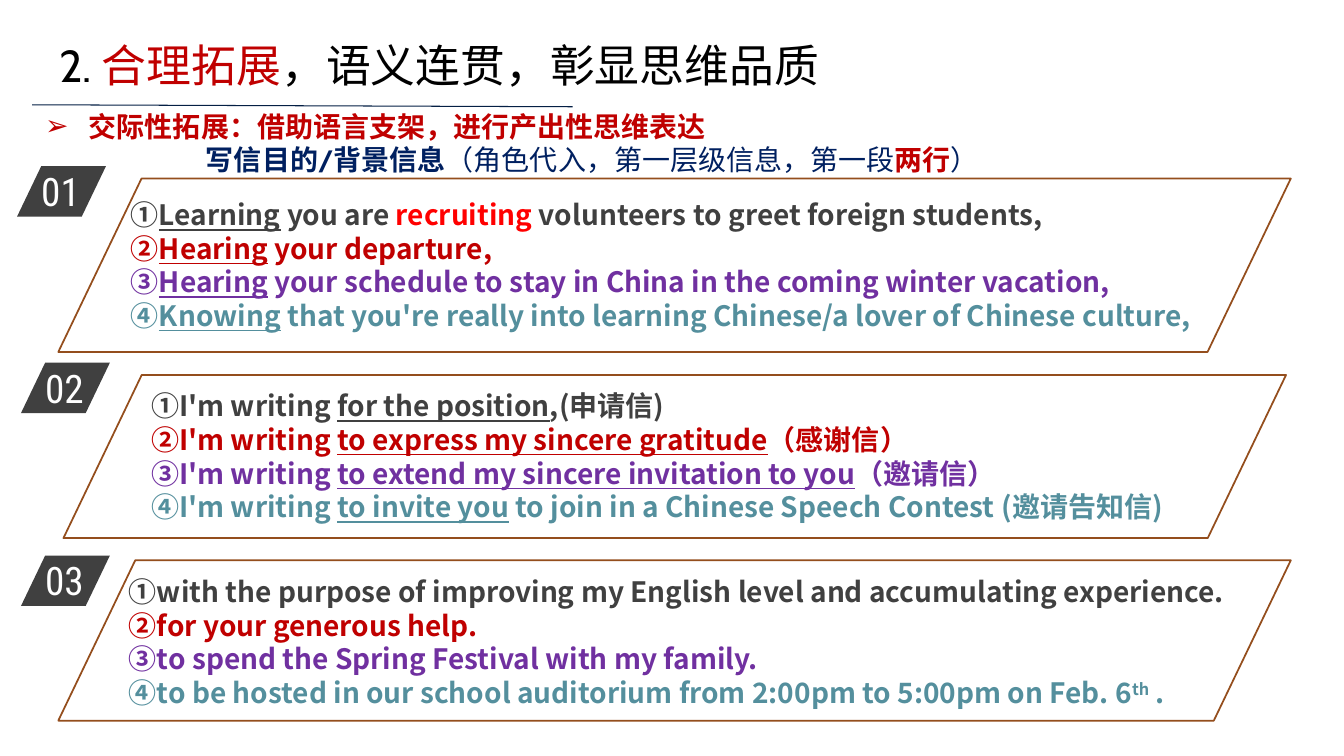
from pptx import Presentation
from pptx.dml.color import RGBColor
from pptx.enum.shapes import MSO_CONNECTOR as Wire, MSO_SHAPE as Shape
from pptx.enum.text import MSO_ANCHOR as Anchor, MSO_AUTO_SIZE as Fit, PP_ALIGN as Align
from pptx.oxml.ns import qn
from pptx.util import Cm, Pt
from lxml.etree import SubElement as Sub

WHITE = RGBColor(0xFF, 0xFF, 0xFF)
BLACK = RGBColor(0, 0, 0)
GREY = RGBColor(0x40, 0x40, 0x40)
RED = RGBColor(0xC0, 0, 0)
BRIGHT = RGBColor(0xFF, 0, 0)
PURPLE = RGBColor(0x70, 0x30, 0xA0)
TEAL = RGBColor(0x54, 0x8F, 0x9D)
BROWN = RGBColor(0x94, 0x4E, 0x1D)
NAVY = RGBColor(0, 0x20, 0x60)
RULE = RGBColor(0x04, 0x1F, 0x44)
INKS = (GREY, RED, PURPLE, TEAL)

CJK, HEAD, DIGIT = "Noto Sans CJK SC", "Cabin", "Roboto Condensed"
SLANT = 0.48

# Each panel: tag position, frame box, text box, lines of (text, style) runs
PANELS = (
    ("01", (0.43, 4.19), (1.47, 4.5, 31.06, 4.37), (3.12, 4.88, 28.73), (
        (("①", ""), ("Learning", "line"), (" you are", ""), (" recruiting", "bright"),
         (" volunteers to greet foreign students,", "")),
        (("②", ""), ("Hearing", "line"), (" your departure,", "")),
        (("③", ""), ("Hearing", "line"),
         (" your schedule to stay in China in the coming winter vacation,", "")),
        (("④", ""), ("Knowing", "line"),
         (" that you're really into learning Chinese/a lover of Chinese culture,", "")),
    )),
    ("02", (0.53, 9.14), (1.6, 9.45, 30.81, 4.11), (3.63, 9.7, 27.43), (
        (("①I'm writing ", ""), ("for the position", "line"), (",(申请信)", "")),
        (("②I'm writing ", ""), ("to express my sincere gratitude", "line"), ("（感谢信）", "")),
        (("③I'm writing ", ""), ("to extend my sincere invitation to you", "line"),
         ("（邀请信）", "")),
        (("④I'm writing ", ""), ("to invite you", "line"),
         (" to join in a Chinese Speech Contest (邀请告知信)", "")),
    )),
    ("03", (0.53, 14), (1.47, 14.12, 31.06, 4.04), (3.07, 14.38, 29.49), (
        (("①with the purpose of improving my English level and accumulating experience.", ""),),
        (("②for your generous help.", ""),),
        (("③to spend the Spring Festival with my family.", ""),),
        (("④to be hosted in our school auditorium from 2:00pm to 5:00pm on Feb. 6", ""),
         ("th", "super"), (" .", "")),
    )),
)


def add_run(para, text, size, face, ink, bold=False, style=""):
    run = para.add_run()
    run.text = text
    font = run.font
    font.size, font.name, font.bold = Pt(size), face, bold
    font.color.rgb = BRIGHT if style == "bright" else ink
    if style == "line":
        font.underline = True
    props = run._r.get_or_add_rPr()
    if style == "super":
        props.set("baseline", "30000")
    Sub(props, qn("a:ea")).set("typeface", CJK)


def place(shape, left, top, width, height):
    shape.left, shape.top = Cm(left), Cm(top)
    shape.width, shape.height = Cm(width), Cm(height)


def set_frame(frame, side=0.25, edge=0.13):
    frame.word_wrap = True
    frame.auto_size = Fit.NONE
    frame.vertical_anchor = Anchor.TOP
    frame.margin_left = frame.margin_right = Cm(side)
    frame.margin_top = frame.margin_bottom = Cm(edge)


def add_para(frame, first):
    para = frame.paragraphs[0] if first else frame.add_paragraph()
    para.alignment = Align.LEFT
    para.space_before = Pt(0)
    return para


def set_bullet(para, left, hang, mark=None):
    props = para._p.get_or_add_pPr()
    props.set("marL", str(Cm(left)))
    props.set("indent", str(-Cm(hang)))
    if mark:
        Sub(Sub(props, qn("a:buClr")), qn("a:srgbClr")).set("val", str(RED))
        Sub(props, qn("a:buFont")).set("typeface", "Arial")
        Sub(props, qn("a:buChar")).set("char", mark)
    else:
        Sub(props, qn("a:buNone"))


def add_slant(slide, box):
    shape = slide.shapes.add_shape(Shape.PARALLELOGRAM, *map(Cm, box))
    shape.adjustments[0] = SLANT
    shape.shadow.inherit = False
    return shape


def add_tag(slide, label, left, top):
    plate = add_slant(slide, (left, top, 2.24, 1.27))
    plate.fill.solid()
    plate.fill.fore_color.rgb = GREY
    plate.line.fill.background()
    box = slide.shapes.add_textbox(Cm(left + 0.36), Cm(top - 0.1), Cm(2.13), Cm(1.24))
    set_frame(box.text_frame)
    add_run(add_para(box.text_frame, True), label, 28, DIGIT, WHITE)


def add_panel(slide, frame, spot, lines):
    box = slide.shapes.add_textbox(*map(Cm, spot), Cm(3.61))
    set_frame(box.text_frame, 0.18, 0.1)
    for i, (runs, ink) in enumerate(zip(lines, INKS)):
        para = add_para(box.text_frame, i == 0)
        para.line_spacing = Pt(24)
        for text, style in runs:
            add_run(para, text, 20, CJK, ink, True, style)
    edge = add_slant(slide, frame)
    edge.fill.background()
    edge.line.color.rgb = BROWN
    edge.line.width = Pt(1.25)


def add_rule(slide):
    rule = slide.shapes.add_connector(Wire.STRAIGHT, Cm(0.81), Cm(2.64), Cm(14.43), Cm(2.69))
    rule.line.color.rgb = RULE
    rule.line.width = Pt(0.75)
    Sub(rule._element.spPr, qn("a:effectLst"))


def fill_title(title):
    place(title, 1.24, 0.81, 32.44, 1.63)
    set_frame(title.text_frame)
    para = add_para(title.text_frame, True)
    for text, ink in (("2. ", BLACK), ("合理拓展", RED), ("，语义连贯，彰显思维品质", BLACK)):
        add_run(para, text, 32, HEAD, ink)


def fill_body(body):
    place(body, 0.89, 2.62, 30.3, 1.96)
    set_frame(body.text_frame)
    topic = add_para(body.text_frame, True)
    set_bullet(topic, 1.1, 1.1, "➢")
    add_run(topic, "交际性拓展：借助语言支架，进行产出性思维表达", 20, HEAD, RED, True)
    aim = add_para(body.text_frame, False)
    set_bullet(aim, 4.05, 0)
    for text, ink, bold in (
        ("写信目的/背景信息", NAVY, True),
        ("（角色代入，第一层级信息，第一段", NAVY, False),
        ("两行", RED, True),
        ("）", NAVY, False),
    ):
        add_run(aim, text, 20, HEAD, ink, bold)
    for para in (topic, aim):
        para.line_spacing = Pt(24)


def main():
    deck = Presentation()
    deck.slide_width, deck.slide_height = Cm(33.87), Cm(19.05)
    slide = deck.slides.add_slide(deck.slide_layouts[1])

    # Heading and lead-in list
    fill_title(slide.shapes.title)
    fill_body(slide.placeholders[1])
    add_rule(slide)

    # Numbered panels
    for label, spot, frame, text, lines in PANELS:
        add_tag(slide, label, *spot)
        add_panel(slide, frame, text, lines)

    deck.save("out.pptx")


if __name__ == "__main__":
    main()
